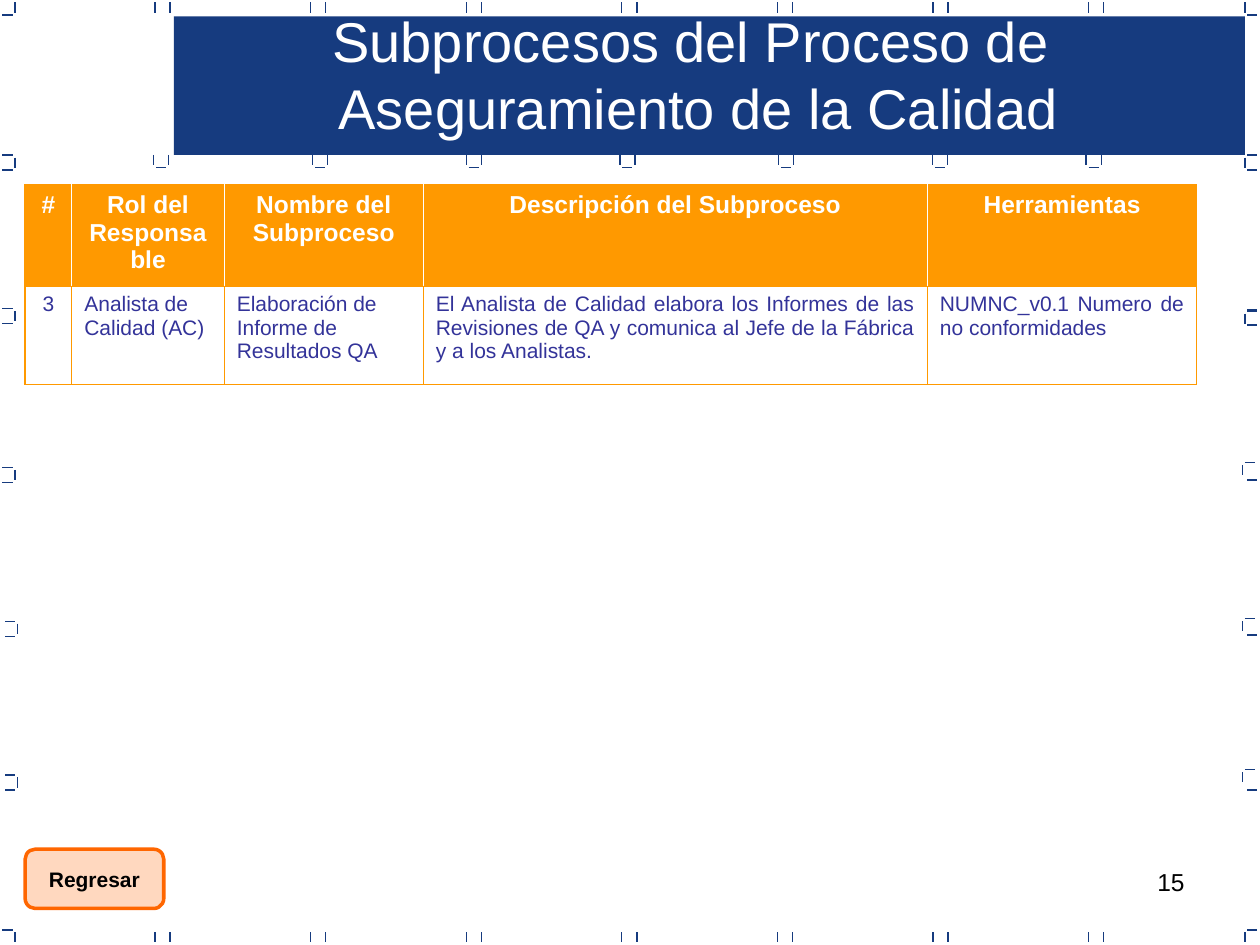
from lxml import etree
from pptx import Presentation
from pptx.dml.color import RGBColor
from pptx.enum.shapes import MSO_CONNECTOR, MSO_SHAPE
from pptx.enum.text import MSO_ANCHOR, PP_ALIGN
from pptx.oxml.ns import qn
from pptx.util import Inches, Pt

LEFT, CENTER, RIGHT, JUSTIFY = PP_ALIGN.LEFT, PP_ALIGN.CENTER, PP_ALIGN.RIGHT, PP_ALIGN.JUSTIFY
TOP, MIDDLE = MSO_ANCHOR.TOP, MSO_ANCHOR.MIDDLE

THEME = {
    "font": "Arial",
    "navy": "163B7F", "orange": "FF9900", "button": "FF6600",
    "body": "333399", "white": "FFFFFF", "black": "000000",
    "title_size": 32, "title_leading": 38.4, "header_size": 14,
    "body_size": 12, "number_size": 14, "tick_width": 0.75,
}

deck = Presentation()
deck.slide_width, deck.slide_height = Inches(10), Inches(7.5)
page = deck.slides.add_slide(deck.slide_layouts[5])


def write(frame, text, size, color, align, bold=False):
    frame.text = text
    for para in frame.paragraphs:
        para.alignment = align
        for span in para.runs:
            span.font.name = THEME["font"]
            span.font.size = Pt(size)
            span.font.bold = bold
            span.font.color.rgb = RGBColor.from_string(color)


def add_tick(x, y, dx, dy):
    tick = page.shapes.add_connector(
        MSO_CONNECTOR.STRAIGHT, Inches(x), Inches(y), Inches(x + dx), Inches(y + dy))
    tick.line.color.rgb = RGBColor.from_string(THEME["navy"])
    tick.line.width = Pt(THEME["tick_width"])
    etree.SubElement(tick._element.spPr, qn("a:effectLst"))


# Slide number
number = page.shapes.add_textbox(Inches(7.17), Inches(6.83), Inches(2.33), Inches(0.52))
number.text_frame.word_wrap = True
write(number.text_frame, "15", THEME["number_size"], THEME["black"], RIGHT)

# Title banner
banner = page.shapes.add_shape(
    MSO_SHAPE.RECTANGLE, Inches(1.38), Inches(0.13), Inches(8.5), Inches(1.1))
banner.shadow.inherit = False
banner.fill.solid()
banner.fill.fore_color.rgb = RGBColor.from_string(THEME["navy"])
banner.line.fill.background()

# Frame ticks: pairs along the top and bottom edges, plus the corners
MARK = 0.08
pair_lefts = [1.23 + 1.235 * i for i in range(7)]
edge_columns = [0.12, 9.88] + [left + gap for left in pair_lefts for gap in (0, 0.12)]
for y in (0.02, 7.4):
    for x in edge_columns:
        add_tick(x, y, 0, MARK)
for y in (0.12, 7.38):
    for x in (0.02, 9.9):
        add_tick(x, y, MARK, 0)

# Brackets on the left edge
for x, y in [(0.02, 1.23), (0.02, 2.45), (0.02, 3.71), (0.04, 4.93), (0.04, 6.15)]:
    add_tick(x, y, MARK, 0)
    add_tick(x, y + 0.12, MARK, 0)
    add_tick(x + 0.1, y + 0.02, 0, MARK)

# Brackets on the right edge, with the loose marks beside them
for x, y in [(9.88, 1.23), (9.88, 2.47), (9.86, 3.67), (9.86, 4.91), (9.86, 6.11)]:
    add_tick(x + 0.02, y, MARK, 0)
    add_tick(x, y + 0.02, 0, MARK)
for y in (1.35, 2.46, 2.58, 3.81, 5.04, 6.27):
    add_tick(9.9, y, MARK, 0)

# Cups under the banner
for x in (1.22, 2.48, 3.7, 4.92, 6.18, 7.4, 8.62):
    add_tick(x, 1.23, 0, MARK)
    add_tick(x + 0.12, 1.23, 0, MARK)
    add_tick(x + 0.02, 1.33, MARK, 0)

# Subprocess table: heading, body text, body alignment, column width
COLUMNS = [
    ("#", "3", CENTER, 0.37),
    ("Rol del Responsable", "Analista de Calidad (AC)", LEFT, 1.21),
    ("Nombre del Subproceso", "Elaboración de Informe de Resultados QA", LEFT, 1.58),
    ("Descripción del Subproceso",
     "El Analista de Calidad elabora los Informes de las Revisiones de QA "
     "y comunica al Jefe de la Fábrica y a los Analistas.", JUSTIFY, 4),
    ("Herramientas", "NUMNC_v0.1 Numero de no conformidades", JUSTIFY, 2.14),
]
table = page.shapes.add_table(
    2, len(COLUMNS), Inches(0.2), Inches(1.47), Inches(9.3), Inches(1.58)).table
table.horz_banding = False
table.rows[0].height, table.rows[1].height = Inches(0.8), Inches(0.78)

thick, thin = (THEME["orange"], 1.08), (THEME["orange"], 0.75)
divider = (THEME["white"], 0.45)
for column, (heading, body, align, width) in enumerate(COLUMNS):
    table.columns[column].width = Inches(width)
    first = column == 0
    for row in (0, 1):
        cell = table.cell(row, column)
        if row == 0:
            borders = {"lnL": thick if first else divider, "lnR": divider,
                       "lnT": thick, "lnB": thin}
        else:
            borders = {"lnL": thick if first else thin, "lnR": thin,
                       "lnT": thin, "lnB": thick}
        properties = cell._tc.get_or_add_tcPr()
        for side, (color, points) in borders.items():
            edge = etree.SubElement(properties, qn("a:" + side), w=str(Pt(points)))
            paint = etree.SubElement(edge, qn("a:solidFill"))
            etree.SubElement(paint, qn("a:srgbClr"), val=color)
        if row == 0:
            cell.fill.solid()
            cell.fill.fore_color.rgb = RGBColor.from_string(THEME["orange"])
            write(cell.text_frame, heading, THEME["header_size"], THEME["white"], CENTER, True)
        else:
            cell.fill.background()
            write(cell.text_frame, body, THEME["body_size"], THEME["body"], align)

# Title, brought in front of the banner
title = page.shapes.title
title.left, title.top, title.width, title.height = (
    Inches(1.46), Inches(0), Inches(8.17), Inches(1.17))
title.text_frame.vertical_anchor = TOP
title.text_frame.word_wrap = True
write(title.text_frame, "Subprocesos del Proceso de \nAseguramiento de la Calidad",
      THEME["title_size"], THEME["white"], CENTER)
for para in title.text_frame.paragraphs:
    para.line_spacing = Pt(THEME["title_leading"])
page.shapes._spTree.append(title._element)

# Return button with a translucent fill
button = page.shapes.add_shape(
    MSO_SHAPE.FLOWCHART_ALTERNATE_PROCESS, Inches(0.2), Inches(6.74), Inches(1.1), Inches(0.47))
button.shadow.inherit = False
button.fill.solid()
button.fill.fore_color.rgb = RGBColor.from_string(THEME["button"])
fill_color = button._element.spPr.find(qn("a:solidFill")).find(qn("a:srgbClr"))
etree.SubElement(fill_color, qn("a:alpha"), val="25000")
button.line.color.rgb = RGBColor.from_string(THEME["button"])
button.line.width = Pt(2)
button.text_frame.word_wrap = False
button.text_frame.vertical_anchor = MIDDLE
write(button.text_frame, "Regresar", THEME["body_size"], THEME["black"], CENTER, True)

deck.save("out.pptx")
